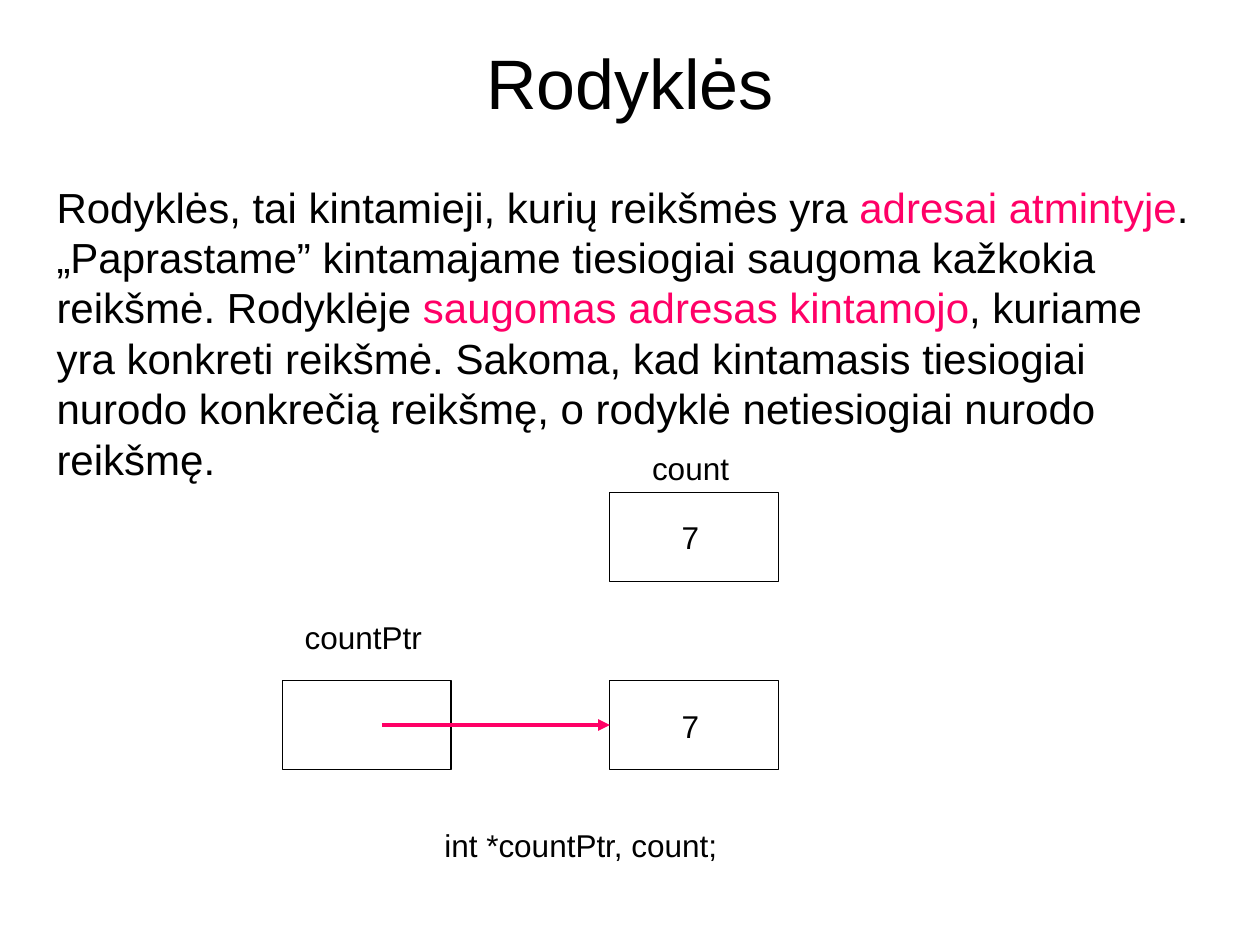
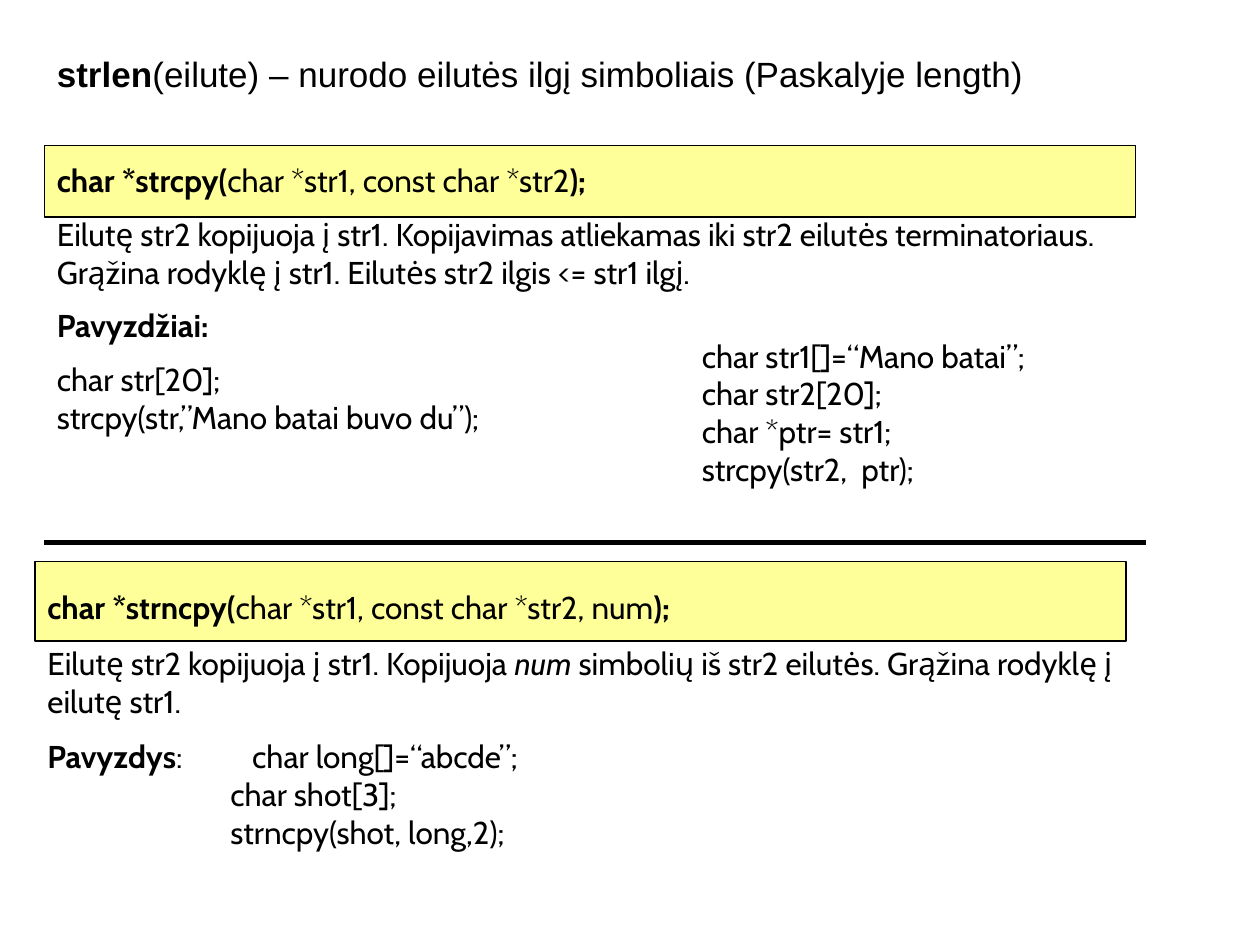
from pptx import Presentation
from pptx.util import Pt
from pptx.dml.color import RGBColor as Rgb
from pptx.enum.shapes import MSO_SHAPE as Shape, MSO_CONNECTOR as Conn
from pptx.enum.text import PP_ALIGN as Align, MSO_ANCHOR as Anchor
from pptx.oxml.ns import qn
from lxml.etree import SubElement as Sub

COLORS = {"ink": "000000", "pink": "FF0066", "pale": "FFFF99"}
TINT = {name: Rgb.from_string(code) for name, code in COLORS.items()}
CODE = 104.5
FIRST = 117

deck = Presentation()
deck.slide_width, deck.slide_height = Pt(720), Pt(540)
blank = deck.slide_layouts[6]


def write(slide, left, top, width, height, paras, size=18, face="Arial", gap=0):
    box = slide.shapes.add_textbox(Pt(left), Pt(top), Pt(width), Pt(height))
    frame = box.text_frame
    frame.word_wrap = True
    for num, runs in enumerate(paras):
        para = frame.paragraphs[0] if num == 0 else frame.add_paragraph()
        if num:
            para.space_before = Pt(gap)
        for text, style in runs:
            for row, part in enumerate(text.split("\n")):
                if row:
                    para.add_line_break()
                run = para.add_run()
                run.text = part
                if style == "bold":
                    run.font.bold = True
                elif style == "slant":
                    run.font.italic = True
                elif style:
                    run.font.color.rgb = TINT[style]
        if "\t" in runs[-1][0]:
            tabs = Sub(para._p.get_or_add_pPr(), qn("a:tabLst"))
            Sub(tabs, qn("a:tab"), pos=str(Pt(FIRST)), algn="l")
        font = para.font
        font.size, font.name = Pt(size), face
        font.color.rgb = TINT["ink"]
    return frame


def rule(slide, start, end, y, color, width):
    line = slide.shapes.add_connector(Conn.STRAIGHT, Pt(start), Pt(y), Pt(end), Pt(y))
    line.line.color.rgb = TINT[color]
    line.line.width = Pt(width)
    Sub(line._element.spPr, qn("a:effectLst"))
    return line


intro = deck.slides.add_slide(blank)
title = write(intro, 36, 21.6, 648, 49.7, [[("Rodyklės", None)]], 40)
title.vertical_anchor = Anchor.MIDDLE
title.paragraphs[0].alignment = Align.CENTER

write(intro, 25.2, 100, 663, 180, [[
    ("Rodyklės, tai kintamieji, kurių reikšmės yra ", None),
    ("adresai atmintyje", "pink"),
    (". „Paprastame” kintamajame tiesiogiai saugoma kažkokia reikšmė. Rodyklėje ", None),
    ("saugomas adresas kintamojo", "pink"),
    (", kuriame yra konkreti reikšmė. Sakoma, kad kintamasis tiesiogiai nurodo "
     "konkrečią reikšmę, o rodyklė netiesiogiai nurodo reikšmę.", None),
]], 24)

for left, top in [(161.3, 388.8), (348.5, 281.5), (348.5, 388.8)]:
    cell = intro.shapes.add_shape(Shape.RECTANGLE, Pt(left), Pt(top), Pt(96.5), Pt(51))
    cell.shadow.inherit = False
    cell.fill.background()
    cell.line.color.rgb = TINT["ink"]
    cell.line.width = Pt(0.75)

for left, top, width, label in [
    (382.5, 292.5, 67.7, "7"),
    (382.5, 400.3, 67.7, "7"),
    (167, 349.4, 85, "countPtr"),
    (365.5, 253, 85, "count"),
    (246.8, 468.7, 198.7, "int *countPtr, count;"),
]:
    write(intro, left, top, width, 28.8, [[(label, None)]])

arrow = rule(intro, 218.2, 348.5, 414.3, "pink", 2.25)
arrow.end_connect(cell, 1)
Sub(arrow._element.spPr.find(qn("a:ln")), qn("a:tailEnd"), type="triangle")

copy = deck.slides.add_slide(blank)
write(copy, 25.4, 26.2, 649.4, 31.7, [[
    ("strlen", "bold"),
    ("(eilute) – nurodo eilutės ilgį simboliais (Paskalyje length)", None),
]], 20)

for left, top, height in [(25.5, 83, 41), (20, 321, 45.4)]:
    band = copy.shapes.add_shape(Shape.RECTANGLE, Pt(left), Pt(top), Pt(623.5), Pt(height))
    band.shadow.inherit = False
    band.fill.solid()
    band.fill.fore_color.rgb = TINT["pale"]
    band.line.color.rgb = TINT["ink"]
    band.line.width = Pt(0.75)

write(copy, 25.4, 88.6, 617.8, 207.4, [
    [("char *strcpy(", "bold"), ("char *str1, const char *str2", None), (");", "bold")],
    [("Eilutę str2 kopijuoja į str1. Kopijavimas atliekamas iki str2 eilutės "
      "terminatoriaus. Grąžina rodyklę į str1. Eilutės str2 ilgis <= str1 ilgį.", None)],
    [("Pavyzdžiai:", "bold")],
    [("char str[20];\nstrcpy(str,”Mano batai buvo du”);", None)],
], face="Cabin", gap=9)

write(copy, 394, 188.8, 249.8, 93.6, [[
    ("char str1[]=“Mano batai”;\nchar str2[20];\nchar *ptr= str1;\nstrcpy(str2,  ptr);", None),
]], face="Cabin")

rule(copy, 25.4, 655, 309.8, "ink", 3)

demo = write(copy, 20, 332.7, 640.8, 157, [
    [("char *strncpy(", "bold"), ("char *str1, const char *str2, num", None), (");", "bold")],
    [("Eilutę str2 kopijuoja į str1. Kopijuoja ", None), ("num", "slant"),
     (" simbolių iš str2 eilutės. Grąžina rodyklę į eilutę str1.", None)],
    [("Pavyzdys", "bold"), (":\tchar long[]=“abcde”;", None)],
    [("char shot[3];\nstrncpy(shot, long,2);", None)],
], face="Cabin", gap=10.1)
tail = demo.paragraphs[-1]
tail.space_before = Pt(0)
tail._p.get_or_add_pPr().set("marL", str(Pt(CODE)))

deck.save("out.pptx")
